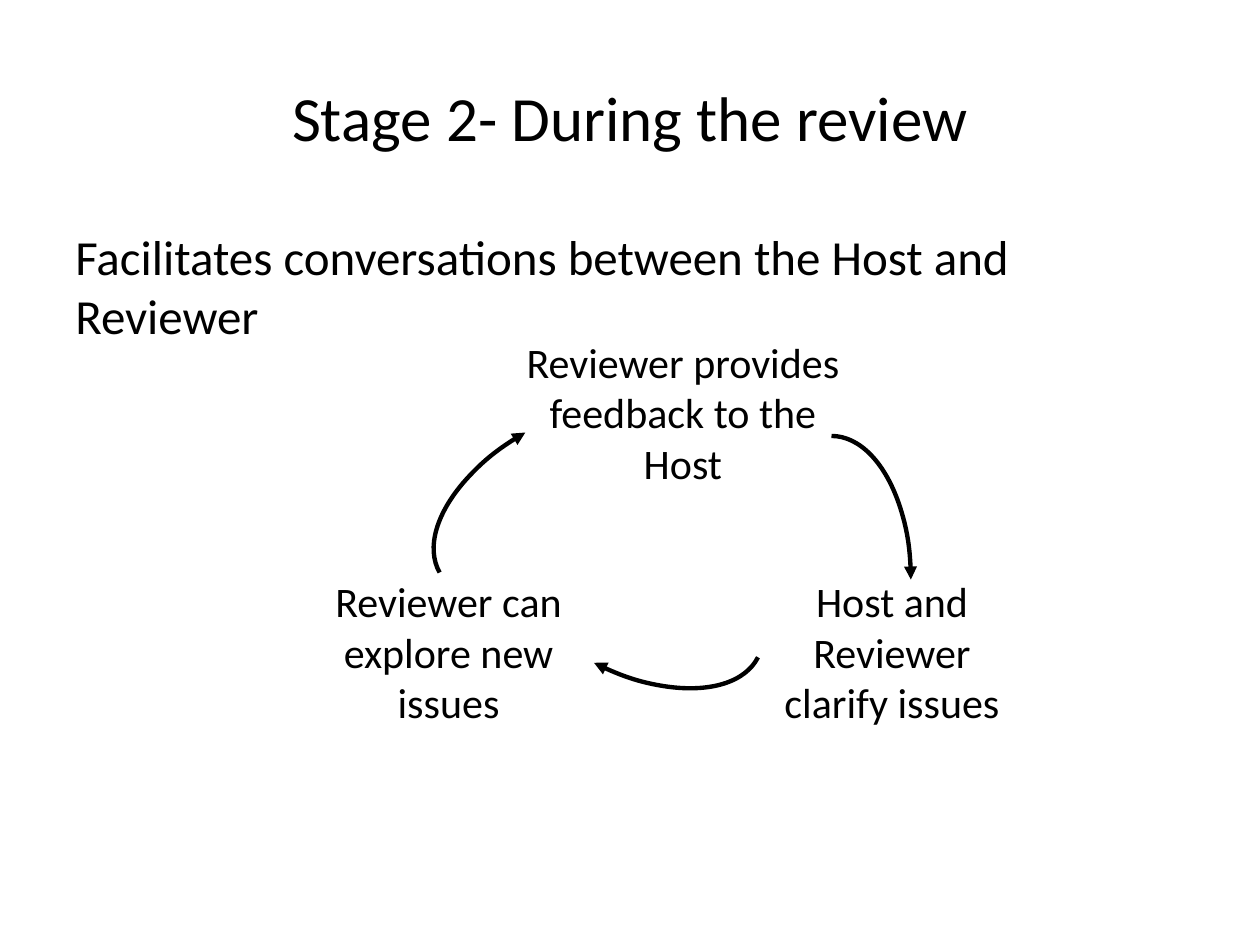
from dataclasses import dataclass

from lxml import etree
from pptx import Presentation
from pptx import util as u
from pptx.dml.color import RGBColor
from pptx.enum import shapes, text
from pptx.oxml.ns import qn
from pptx.slide import Slide

BLACK = "000000"
FONT = "Calibri"


@dataclass
class Label:
    left: float
    top: float
    width: float
    height: float
    words: str
    size: int = 24
    align: text.PP_ALIGN = text.PP_ALIGN.CENTER
    anchor: text.MSO_ANCHOR = text.MSO_ANCHOR.TOP


@dataclass
class Arrow:
    left: float
    top: float
    turn: float = 0
    width: float = 1.26
    height: float = 2.28


LABELS = [
    Label(0.5, 0.3, 9, 1.25, "Stage 2- During the review", 36,
          anchor=text.MSO_ANCHOR.MIDDLE),
    Label(0.5, 1.75, 9, 1.53,
          "Facilitates conversations between the Host and Reviewer", 28,
          text.PP_ALIGN.LEFT),
    Label(4.06, 2.62, 2.72, 1.31, "Reviewer provides feedback to the Host"),
    Label(6.1, 4.52, 1.96, 1.31, "Host and Reviewer clarify issues"),
    Label(2.44, 4.52, 2.24, 1.31, "Reviewer can explore new issues"),
]
ARROWS = [Arrow(5.97, 3.46), Arrow(4.37, 3.56, 117), Arrow(3.85, 2.84, 240.4)]


def paint(color, code: str) -> None:
    color.rgb = RGBColor.from_string(code)


def place(item: Label | Arrow) -> list[u.Length]:
    return [u.Inches(n) for n in (item.left, item.top, item.width, item.height)]


def add_label(slide: Slide, label: Label) -> None:
    frame = slide.shapes.add_textbox(*place(label)).text_frame
    frame.word_wrap = True
    frame.vertical_anchor = label.anchor
    frame.text = label.words
    para = frame.paragraphs[0]
    para.alignment = label.align
    for run in para.runs:
        run.font.name = FONT
        run.font.size = u.Pt(label.size)
        paint(run.font.color, BLACK)


def add_arrow(slide: Slide, arrow: Arrow) -> None:
    arc = slide.shapes.add_shape(shapes.MSO_SHAPE.ARC, *place(arrow))
    arc.rotation = arrow.turn
    arc.shadow.inherit = False
    arc.fill.background()
    paint(arc.line.color, BLACK)
    arc.line.width = u.Pt(2.5)
    line = arc.line.fill._xPr
    etree.SubElement(line, qn("a:tailEnd"), type="triangle")


def main() -> None:
    """Build the review cycle slide."""
    deck = Presentation()
    deck.slide_width, deck.slide_height = u.Inches(10), u.Inches(7.5)
    slide = deck.slides.add_slide(deck.slide_layouts[6])
    for label in LABELS:
        add_label(slide, label)
    for arrow in ARROWS:
        add_arrow(slide, arrow)
    deck.save("out.pptx")


if __name__ == "__main__":
    main()
